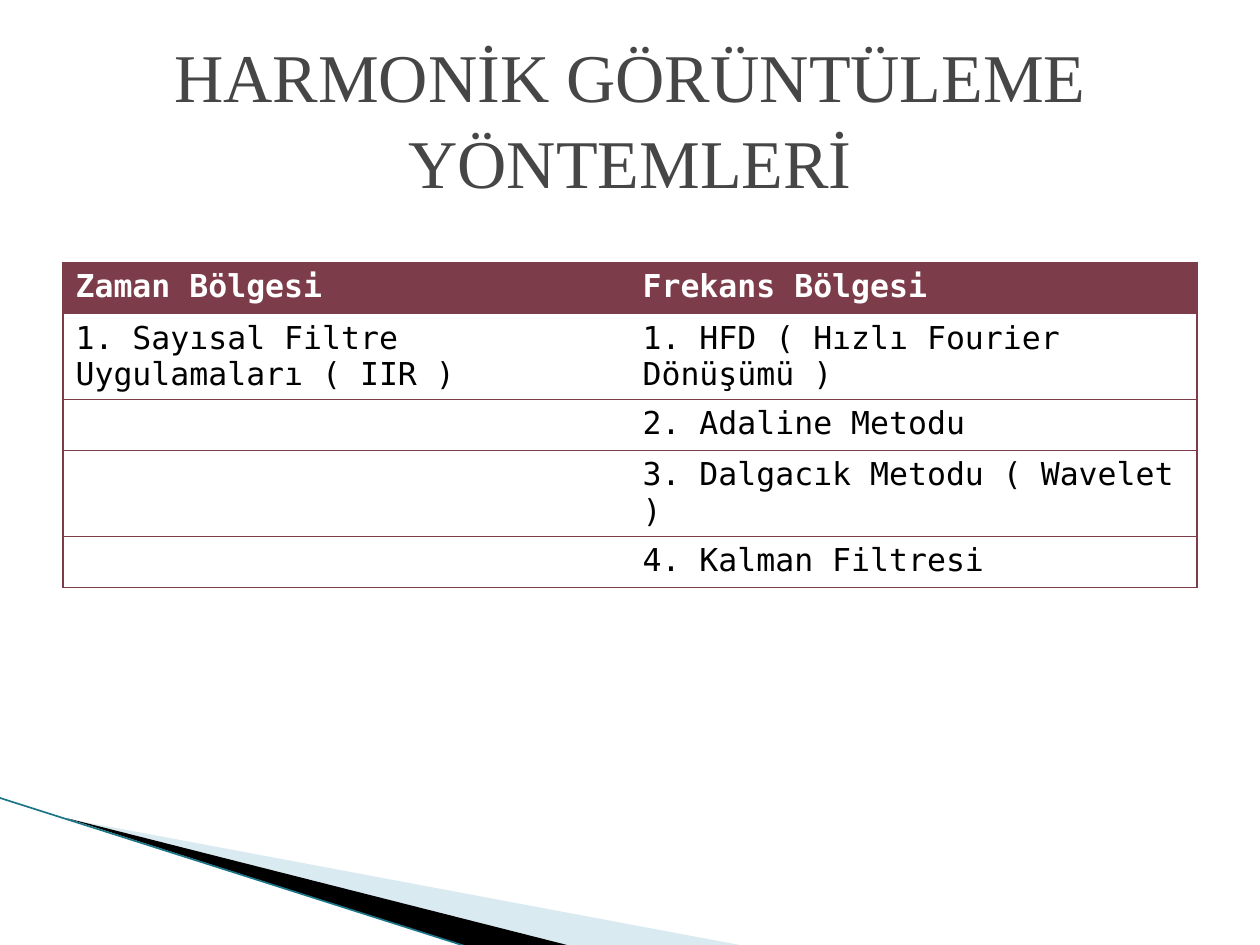
from lxml.etree import SubElement
from pptx import Presentation
from pptx.dml.color import RGBColor
from pptx.enum.shapes import MSO_CONNECTOR
from pptx.enum.text import MSO_ANCHOR, MSO_AUTO_SIZE, PP_ALIGN
from pptx.oxml.ns import qn
from pptx.util import Pt

COLORS = {
    "title": "464646",
    "maroon": "7D3C4A",
    "header_text": "FFFFFF",
    "body_text": "000000",
    "pale_blue": "A0CBDC",
    "black": "000000",
    "teal": "1B7587",
}
TITLE_FONT = "Times New Roman"
TABLE_FONT = "DejaVu Sans Mono"
NO_GRID_STYLE = "{2D5ABB26-0587-4C30-8999-92F81FD0307C}"

METHODS = [
    ("Zaman Bölgesi", "Frekans Bölgesi"),
    ("1. Sayısal Filtre Uygulamaları ( IIR )", "1. HFD ( Hızlı Fourier Dönüşümü )"),
    ("", "2. Adaline Metodu"),
    ("", "3. Dalgacık Metodu ( Wavelet )"),
    ("", "4. Kalman Filtresi"),
]


def rgb(name):
    return RGBColor.from_string(COLORS[name])


def format_font(font, family, size, color, bold=False):
    font.name = family
    font.size = Pt(size)
    font.bold = bold
    font.color.rgb = rgb(color)


def place_title(slide, left, top, width, height):
    title = slide.shapes.title
    title.left, title.top = Pt(left), Pt(top)
    title.width, title.height = Pt(width), Pt(height)
    frame = title.text_frame
    frame.text = "HARMONİK GÖRÜNTÜLEME YÖNTEMLERİ"
    frame.word_wrap = True
    frame.auto_size = MSO_AUTO_SIZE.NONE
    frame.vertical_anchor = MSO_ANCHOR.MIDDLE
    heading = frame.paragraphs[0]
    heading.alignment = PP_ALIGN.CENTER
    heading.line_spacing = 1.05
    format_font(heading.runs[0].font, TITLE_FONT, 39, "title")


def add_borders(cell, sides):
    """Draw maroon lines on the given sides, listed in the order L, R, T, B."""
    properties = cell._tc.get_or_add_tcPr()
    for side in sides:
        border = SubElement(properties, qn(f"a:ln{side}"), w=str(Pt(0.75)))
        fill = SubElement(border, qn("a:solidFill"))
        SubElement(fill, qn("a:srgbClr"), val=COLORS["maroon"])


def place_methods_table(slide, left, top, width, row_height):
    rows, columns = len(METHODS), len(METHODS[0])
    table = slide.shapes.add_table(
        rows, columns, Pt(left), Pt(top), Pt(width), Pt(row_height * rows)
    ).table
    table.horz_banding = False
    table._tbl.tblPr.find(qn("a:tableStyleId")).text = NO_GRID_STYLE
    for row, entries in enumerate(METHODS):
        table.rows[row].height = Pt(row_height)
        for column, entry in enumerate(entries):
            cell = table.cell(row, column)
            add_borders(cell, ("L" if column == 0 else "R") + "TB")
            is_header = row == 0
            if is_header:
                cell.fill.solid()
                cell.fill.fore_color.rgb = rgb("maroon")
            else:
                cell.fill.background()
            cell.text_frame.text = entry
            for run in cell.text_frame.paragraphs[0].runs:
                color = "header_text" if is_header else "body_text"
                format_font(run.font, TABLE_FONT, 18, color, is_header)


def add_wedge(slide, points, color, opacity=100):
    corners = [(Pt(x), Pt(y)) for x, y in points]
    builder = slide.shapes.build_freeform(*corners[0], scale=1.0)
    builder.add_line_segments(corners[1:], close=True)
    wedge = builder.convert_to_shape()
    wedge.shadow.inherit = False
    wedge.line.fill.background()
    wedge.fill.solid()
    wedge.fill.fore_color.rgb = rgb(color)
    if opacity < 100:
        tone = wedge._element.spPr.find(qn("a:solidFill"))[0]
        SubElement(tone, qn("a:alpha"), val=str(opacity * 1000))


def place_corner_sweep(slide, left, top, width, height):
    """Fan two wedges and an edge line out towards the bottom of the box."""
    bottom = top + height
    tip_x, tip_y = left + 39, top + 12
    add_wedge(
        slide,
        [(tip_x, tip_y), (left + width, bottom), (left + 328, bottom)],
        "pale_blue",
        40,
    )
    add_wedge(
        slide,
        [(tip_x - 1, tip_y - 0.5), (left + 328, bottom), (left + 267, bottom)],
        "black",
    )
    edge = slide.shapes.add_connector(
        MSO_CONNECTOR.STRAIGHT, Pt(left), Pt(top), Pt(left + 267), Pt(bottom)
    )
    edge.line.color.rgb = rgb("teal")
    edge.line.width = Pt(0.95)
    SubElement(edge._element.spPr, qn("a:effectLst"))


def main():
    presentation = Presentation()
    presentation.slide_width, presentation.slide_height = Pt(720), Pt(540)
    slide = presentation.slides.add_slide(presentation.slide_layouts[5])
    place_corner_sweep(slide, 0, 456, 428, 85)
    place_title(slide, 36, 21.6, 648, 90)
    place_methods_table(slide, 36, 150, 648, 29.2)
    presentation.save("out.pptx")


if __name__ == "__main__":
    main()
